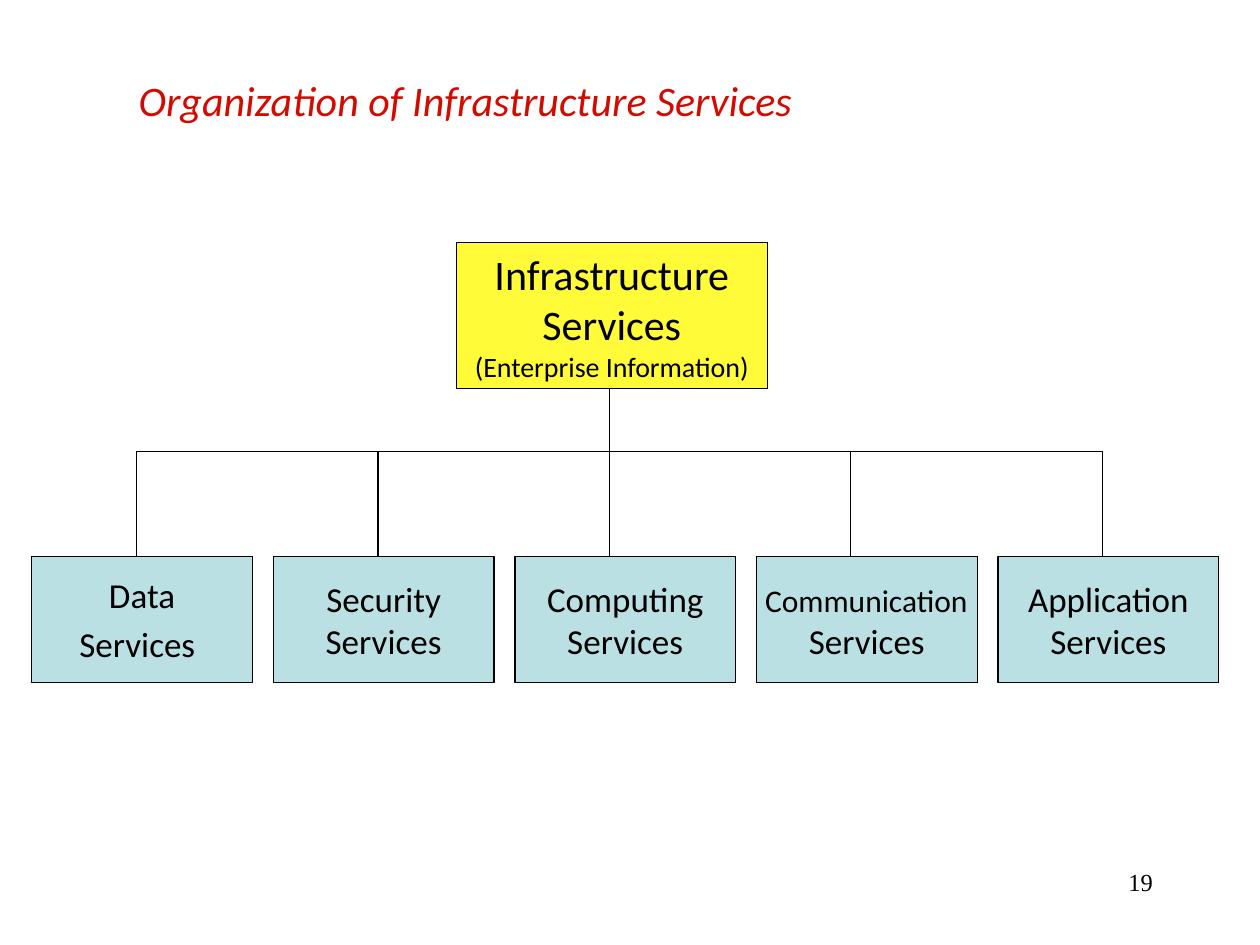
"""Build the organization chart of infrastructure services."""
from dataclasses import dataclass

from lxml import etree
from pptx import Presentation
from pptx.dml.color import RGBColor
from pptx.enum.shapes import MSO_CONNECTOR, MSO_SHAPE
from pptx.enum.text import MSO_ANCHOR, MSO_AUTO_SIZE, PP_ALIGN
from pptx.oxml.ns import qn
from pptx.util import Cm, Pt

RECT = MSO_SHAPE.RECTANGLE
STRAIGHT = MSO_CONNECTOR.STRAIGHT
MIDDLE = MSO_ANCHOR.MIDDLE
NO_FIT = MSO_AUTO_SIZE.NONE
LEFT, CENTER, RIGHT = PP_ALIGN.LEFT, PP_ALIGN.CENTER, PP_ALIGN.RIGHT
TITLE_ONLY = 5


@dataclass(frozen=True)
class Theme:
    font: str = "Calibri"
    number_font: str = "Times New Roman"
    ink: str = "000000"
    title: str = "D30A00"
    root: str = "FFFB39"
    service: str = "BBE0E3"
    large: int = 24
    label: int = 20
    compact: int = 18
    note: int = 16
    number: int = 14
    line: float = 0.75


THEME = Theme()


@dataclass(frozen=True)
class Run:
    text: str
    size: int = THEME.label
    color: str = THEME.ink
    font: str = THEME.font
    italic: bool = False


@dataclass(frozen=True)
class Service:
    name: tuple[Run, ...]
    drop_x: float
    suffix: tuple[Run, ...] = ()


SERVICES = (
    Service((Run("Data"),), 2.75, (Run(" ", THEME.large),)),
    Service((Run("Security"),), 7.62),
    Service((Run("Computing"),), 12.28),
    Service((Run(" Communication", THEME.compact), Run(" ")), 17.15),
    Service((Run("Application"),), 22.23),
)
ROOT_LINES = (
    (Run("Infrastructure", THEME.large),),
    (Run("Services", THEME.large),),
    (Run("(Enterprise Information)", THEME.note),),
)
ROOT_LEFT, ROOT_TOP, ROOT_WIDTH, ROOT_HEIGHT = 9.2, 4.89, 6.27, 2.95
ROW_LEFT, ROW_TOP, ROW_PITCH = 0.64, 11.22, 4.87
SERVICE_WIDTH, SERVICE_HEIGHT = 4.45, 2.54
RAIL_Y = 9.1
TRUNK = SERVICES[len(SERVICES) // 2]


def write(tf, lines: tuple, align: PP_ALIGN) -> None:
    """Fill a text frame with one paragraph per line of runs."""
    for i, runs in enumerate(lines):
        p = tf.add_paragraph() if i else tf.paragraphs[0]
        p.alignment = align
        for run in runs:
            r = p.add_run()
            r.text = run.text
            r.font.name = run.font
            r.font.size = Pt(run.size)
            r.font.italic = run.italic
            r.font.color.rgb = RGBColor.from_string(run.color)


def add_box(s, x: float, y: float, w: float, h: float, fill: str, lines: tuple) -> None:
    """Draw an outlined box with centred text."""
    sp = s.shapes.add_shape(RECT, Cm(x), Cm(y), Cm(w), Cm(h))
    sp.shadow.inherit = False
    sp.fill.solid()
    sp.fill.fore_color.rgb = RGBColor.from_string(fill)
    sp.line.color.rgb = RGBColor.from_string(THEME.ink)
    sp.line.width = Pt(THEME.line)
    tf = sp.text_frame
    tf.word_wrap = False
    tf.vertical_anchor = MIDDLE
    write(tf, lines, CENTER)


def add_line(s, x1: float, y1: float, x2: float, y2: float) -> None:
    """Draw a plain straight connector."""
    cxn = s.shapes.add_connector(STRAIGHT, Cm(x1), Cm(y1), Cm(x2), Cm(y2))
    cxn.line.color.rgb = RGBColor.from_string(THEME.ink)
    cxn.line.width = Pt(THEME.line)
    etree.SubElement(cxn._element.spPr, qn("a:effectLst"))


def add_title(s) -> None:
    """Place and fill the title placeholder."""
    sp = s.shapes.title
    sp.left, sp.top, sp.width, sp.height = Cm(2.54), Cm(1.27), Cm(21.59), Cm(1.48)
    tf = sp.text_frame
    tf.auto_size = NO_FIT
    tf.vertical_anchor = MIDDLE
    title = Run("Organization of Infrastructure Services", THEME.large, THEME.title, italic=True)
    write(tf, ((title,),), LEFT)


def add_number(s) -> None:
    """Write the page number at the lower right."""
    sp = s.shapes.add_textbox(Cm(18.2), Cm(17.36), Cm(5.29), Cm(1.27))
    sp.text_frame.word_wrap = True
    number = Run("19", THEME.number, font=THEME.number_font)
    write(sp.text_frame, ((number,),), RIGHT)


def main() -> None:
    """Build and save the slide."""
    prs = Presentation()
    prs.slide_width, prs.slide_height = Cm(25.4), Cm(19.05)
    s = prs.slides.add_slide(prs.slide_layouts[TITLE_ONLY])
    add_number(s)
    add_title(s)
    add_box(s, ROOT_LEFT, ROOT_TOP, ROOT_WIDTH, ROOT_HEIGHT, THEME.root, ROOT_LINES)
    for i, service in enumerate(SERVICES):
        lines = (service.name, (Run("Services"), *service.suffix))
        add_box(s, ROW_LEFT + i * ROW_PITCH, ROW_TOP, SERVICE_WIDTH, SERVICE_HEIGHT,
                THEME.service, lines)
    add_line(s, SERVICES[0].drop_x, RAIL_Y, SERVICES[-1].drop_x, RAIL_Y)
    for service in SERVICES:
        top = ROOT_TOP + ROOT_HEIGHT if service is TRUNK else RAIL_Y
        add_line(s, service.drop_x, top, service.drop_x, ROW_TOP)
    prs.save("out.pptx")


if __name__ == "__main__":
    main()
